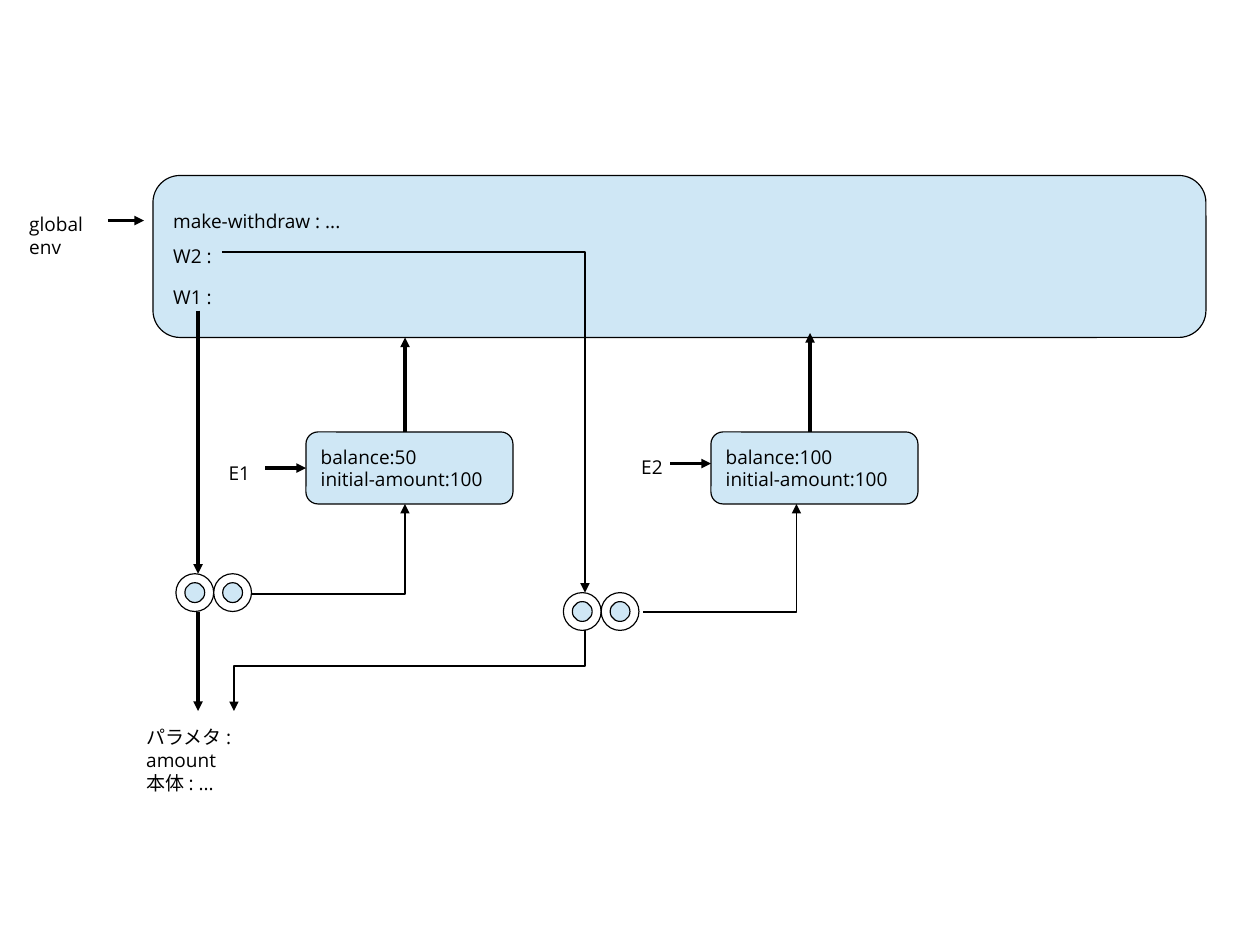
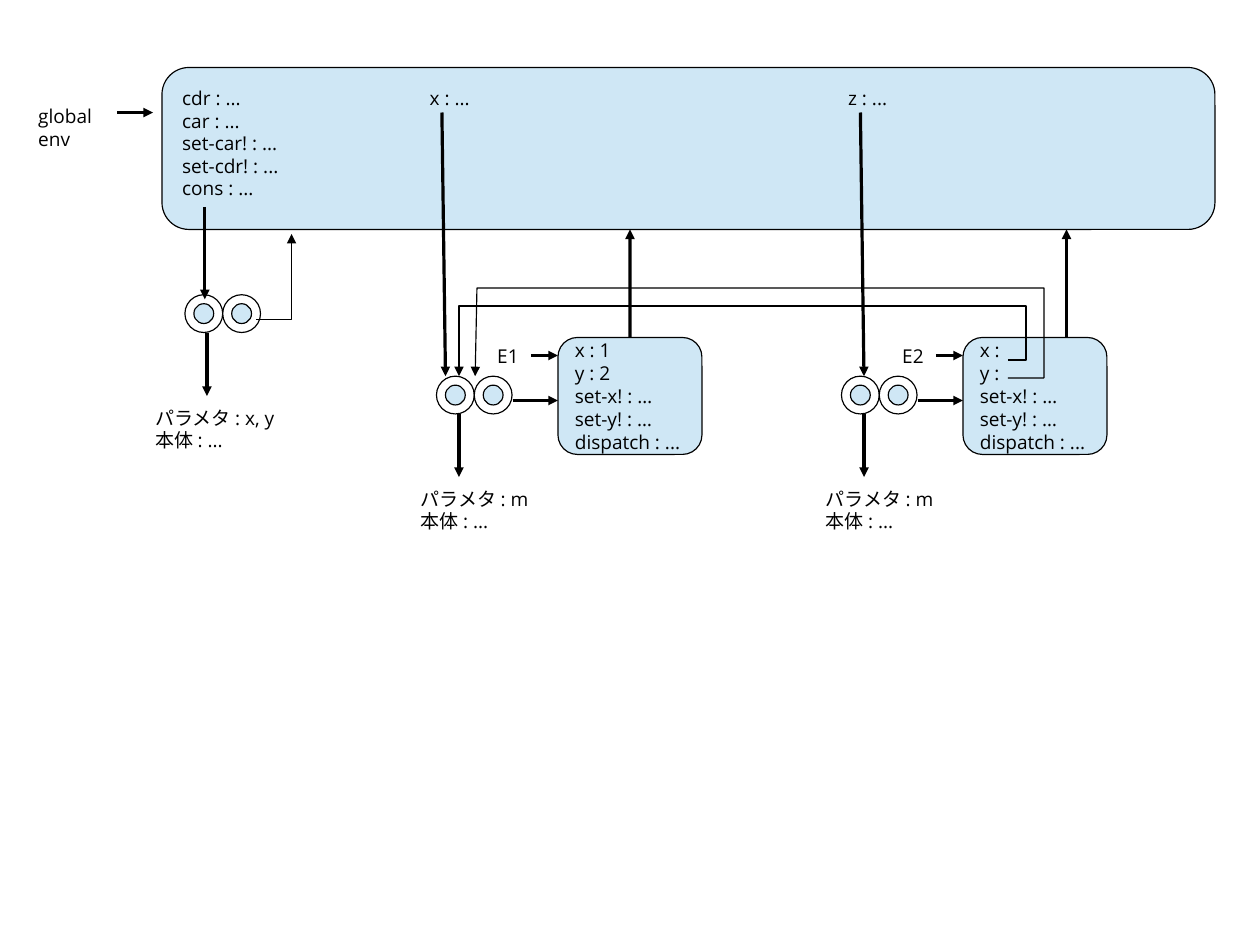
"""Build two environment-model diagrams for closures and mutable pairs."""
import lxml.etree
import pptx
import pptx.dml.color
import pptx.enum.shapes
import pptx.enum.text
import pptx.oxml.ns
import pptx.util

Cm = pptx.util.Cm
SHAPE = pptx.enum.shapes.MSO_SHAPE
INK, PAPER, SKY = "000000", "FFFFFF", "CFE7F5"
FONT_FORMAT = {"name": "Open Sans", "size": pptx.util.Pt(12)}
CIRCLE, CORE = 0.84, 0.44


def set_color(color_format, value):
    """Make a fill or line solid with a hex colour."""
    color_format.fore_color.rgb = pptx.dml.color.RGBColor.from_string(value)


def set_line(shape):
    """Give a shape or connector a black hairline."""
    shape.line.width = pptx.util.Pt(0)
    shape.line.fill.solid()
    set_color(shape.line.fill, INK)


def add_arrowhead(shape):
    """Put a triangle at the end of a line."""
    line = shape.element.spPr.find(pptx.oxml.ns.qn("a:ln"))
    lxml.etree.SubElement(line, pptx.oxml.ns.qn("a:tailEnd"), type="triangle")


def write_lines(shape, lines, anchor):
    """Write one left-aligned paragraph per line."""
    frame = shape.text_frame
    for name, value in {"word_wrap": True, "vertical_anchor": anchor}.items():
        setattr(frame, name, value)
    frame.text = "\n".join(lines)
    for paragraph in frame.paragraphs:
        paragraph.alignment = pptx.enum.text.PP_ALIGN.LEFT
        for name, value in FONT_FORMAT.items():
            setattr(paragraph.font, name, value)
        paragraph.font.fill.solid()
        set_color(paragraph.font.fill, INK)


def add_label(slide, left, top, width, *lines):
    """Add free-standing text."""
    height = 0.25 + 0.58 * len(lines)
    shape = slide.shapes.add_textbox(Cm(left), Cm(top), Cm(width), Cm(height))
    write_lines(shape, lines, pptx.enum.text.MSO_ANCHOR.TOP)


def add_outlined(shapes, kind, left, top, width, height, fill):
    """Add a filled preset shape with a hairline outline."""
    shape = shapes.add_shape(kind, Cm(left), Cm(top), Cm(width), Cm(height))
    shape.shadow.inherit = False
    shape.fill.solid()
    set_color(shape.fill, fill)
    set_line(shape)
    return shape


def add_frame_box(slide, left, top, width, height, *lines):
    """Add a rounded environment frame with its bindings."""
    box = add_outlined(slide.shapes, SHAPE.ROUNDED_RECTANGLE,
                       left, top, width, height, SKY)
    if lines:
        write_lines(box, lines, pptx.enum.text.MSO_ANCHOR.MIDDLE)
    return box


def add_procedure(slide, left, top):
    """Add the grouped pair of ringed circles that stands for a procedure."""
    group = slide.shapes.add_group_shape()
    for circle_left in (left, left + CIRCLE):
        for size, fill in ((CIRCLE, PAPER), (CORE, SKY)):
            inset = (CIRCLE - size) / 2
            add_outlined(group.shapes, SHAPE.OVAL, circle_left + inset,
                         top + inset, size, size, fill)


def add_arrow(slide, start, end):
    """Add a straight arrow."""
    connector = slide.shapes.add_connector(
        pptx.enum.shapes.MSO_CONNECTOR.STRAIGHT,
        *(Cm(value) for value in (*start, *end)))
    set_line(connector)
    add_arrowhead(connector)
    lxml.etree.SubElement(connector.element.spPr,
                          pptx.oxml.ns.qn("a:effectLst"))
    return connector


def add_bent_arrow(slide, *points):
    """Add an arrow that runs through several points."""
    start, *corners = [(Cm(x), Cm(y)) for x, y in points]
    builder = slide.shapes.build_freeform(*start)
    builder.add_line_segments(corners, close=False)
    shape = builder.convert_to_shape()
    shape.shadow.inherit = False
    shape.fill.background()
    set_line(shape)
    add_arrowhead(shape)


def add_global_frame(slide, left, top):
    """Add the global frame with its pointer."""
    add_frame_box(slide, left, top, 23.4, 3.6)
    add_label(slide, left - 3, top + 0.7, 1.8, "global", "env")
    add_arrow(slide, (left - 1, top + 1), (left - 0.2, top + 1))


def add_code(slide, left, top, parameters):
    """Describe the parameters and body of a procedure."""
    add_label(slide, left, top, 4.05, f"パラメタ : {parameters}", "本体 : ...")


def add_account(slide, left, name, balance, pointer_top, global_bottom):
    """Add the frame of one withdraw procedure."""
    top = 9.6
    box = add_frame_box(slide, left, top, 4.6, 1.6,
                        f"balance:{balance}", "initial-amount:100")
    pointer = add_arrow(slide, (left - 0.9, pointer_top), (left, pointer_top))
    if pointer_top == top + 0.8:
        pointer.end_connect(box, 1)
    add_arrow(slide, (left + 2.2, top), (left + 2.2, global_bottom))
    return name


def add_pair_object(slide, left, name, variable, variable_left, x, y, up_left):
    """Add a pair object: its variable, procedure, code and frame."""
    box = add_frame_box(slide, left + 2.7, 7.5, 3.2, 2.6, x, y,
                        "set-x! : …", "set-y! : …", "dispatch : ...")
    add_procedure(slide, left, 8.36)
    add_arrow(slide, (left + 0.5, 9.2), (left + 0.5, 10.6))
    add_code(slide, left - 0.6, 10.7, "m")
    add_label(slide, variable_left, 1.8, 4, f"{variable} : ...")
    add_arrow(slide, (variable_left + 0.52, 2.5), (variable_left + 0.6, 8.36))
    add_arrow(slide, (left + 1.7, 8.9), (left + 2.7, 8.9))
    add_arrow(slide, (left + 2.1, 7.9), (left + 2.7, 7.9))
    add_label(slide, left + 1.1, 7.52, 1.2, name)
    parent = add_arrow(slide, (up_left, 7.5), (up_left, 5.1))
    if up_left == 14:
        parent.begin_connect(box, 0)


def build_withdraw_slide(slide):
    """Draw two withdraw procedures that share one body."""
    add_global_frame(slide, 3.4, 3.9)
    for top, text in ((4.52, "make-withdraw : ..."),
                      (5.31, "W2 :"), (6.22, "W1 :")):
        add_label(slide, 3.6, top, 4.4, text)
    for left, top in ((3.91, 12.75), (12.52, 13.17)):
        add_procedure(slide, left, top)
    add_arrow(slide, (4.4, 6.9), (4.4, 12.75))
    add_arrow(slide, (4.4, 13.6), (4.4, 15.8))
    add_code(slide, 3, 16, "amount")
    add_account(slide, 6.8, "E1", 50, 10.4, 7.5)
    add_label(slide, 4.83, 10.13, 1.2, "E1")
    add_account(slide, 15.8, "E2", 100, 10.3, 7.4)
    add_label(slide, 14, 10, 1.2, "E2")
    add_bent_arrow(slide, (5.59, 13.2), (9, 13.2), (9, 11.2))
    add_bent_arrow(slide, (4.93, 5.6), (13, 5.6), (13, 13.17))
    add_bent_arrow(slide, (13, 14), (13, 14.8), (5.2, 14.8), (5.2, 15.8))
    add_bent_arrow(slide, (14.3, 13.6), (17.7, 13.6), (17.7, 11.2))


def build_pair_slide(slide):
    """Draw two mutable pairs, the second pointing at the first."""
    add_global_frame(slide, 3.6, 1.5)
    for row, name in enumerate(("cdr", "car", "set-car!", "set-cdr!", "cons")):
        add_label(slide, 3.8, 1.8 + 0.5 * row, 4, f"{name} : ...")
    add_procedure(slide, 4.11, 6.55)
    add_arrow(slide, (4.55, 4.6), (4.55, 6.65))
    add_arrow(slide, (4.6, 7.4), (4.6, 8.8))
    add_code(slide, 3.2, 8.9, "x, y")
    add_bent_arrow(slide, (5.7, 7.1), (6.48, 7.1), (6.48, 5.2))
    add_pair_object(slide, 9.7, "E1", "x", 9.3, "x : 1", "y : 2", 14)
    add_pair_object(slide, 18.7, "E2", "z", 18.6, "x :", "y :", 23.7)
    add_bent_arrow(slide, (22.4, 8), (22.8, 8), (22.8, 6.8),
                   (10.2, 6.8), (10.2, 8.36))
    add_bent_arrow(slide, (22.4, 8.4), (23.2, 8.4), (23.2, 6.4),
                   (10.6, 6.4), (10.56, 8.36))


def main():
    """Build and save the presentation."""
    presentation = pptx.Presentation()
    presentation.slide_width, presentation.slide_height = Cm(28), Cm(21)
    blank = presentation.slide_layouts[6]
    for build in (build_withdraw_slide, build_pair_slide):
        build(presentation.slides.add_slide(blank))
    presentation.save("out.pptx")


if __name__ == "__main__":
    main()
